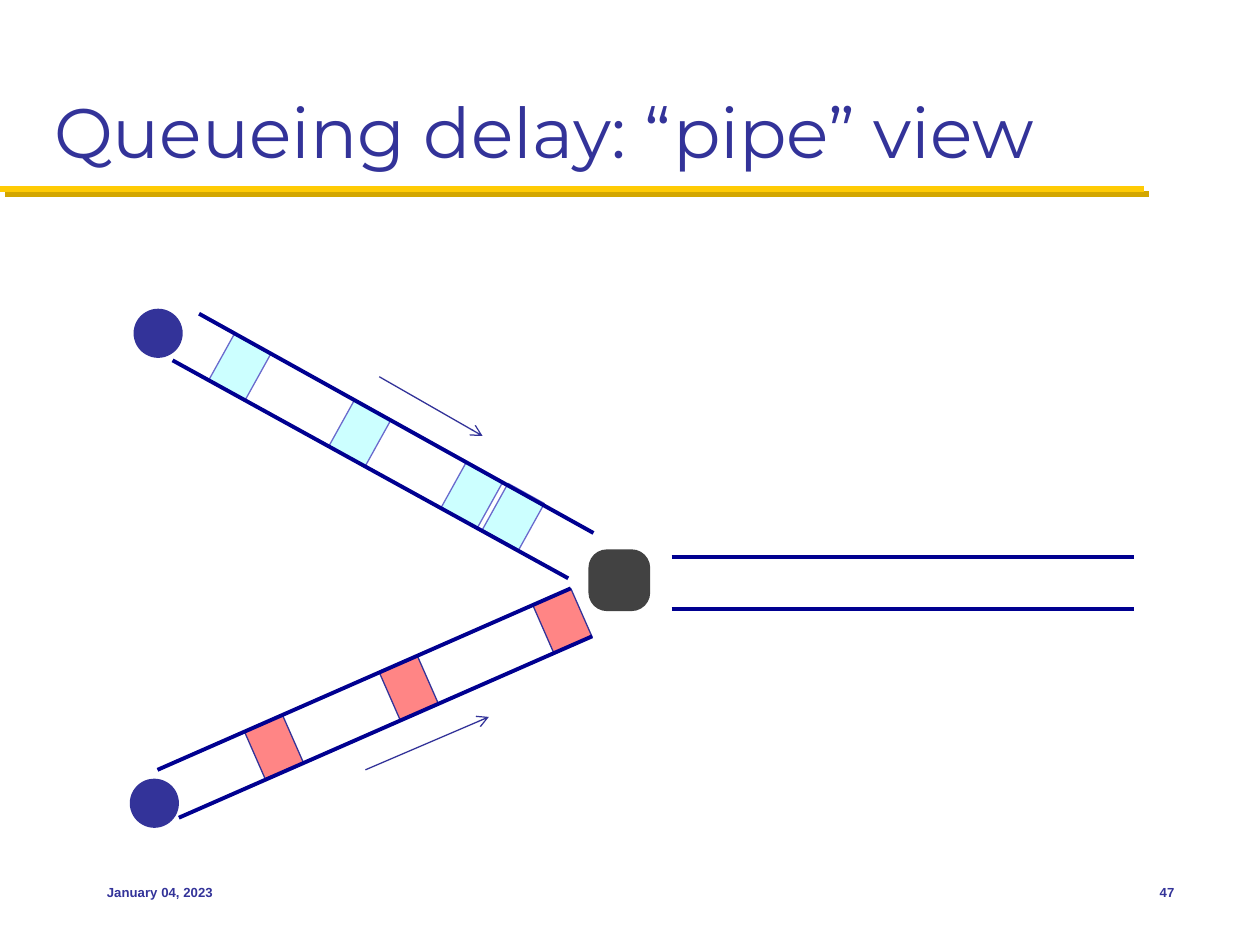
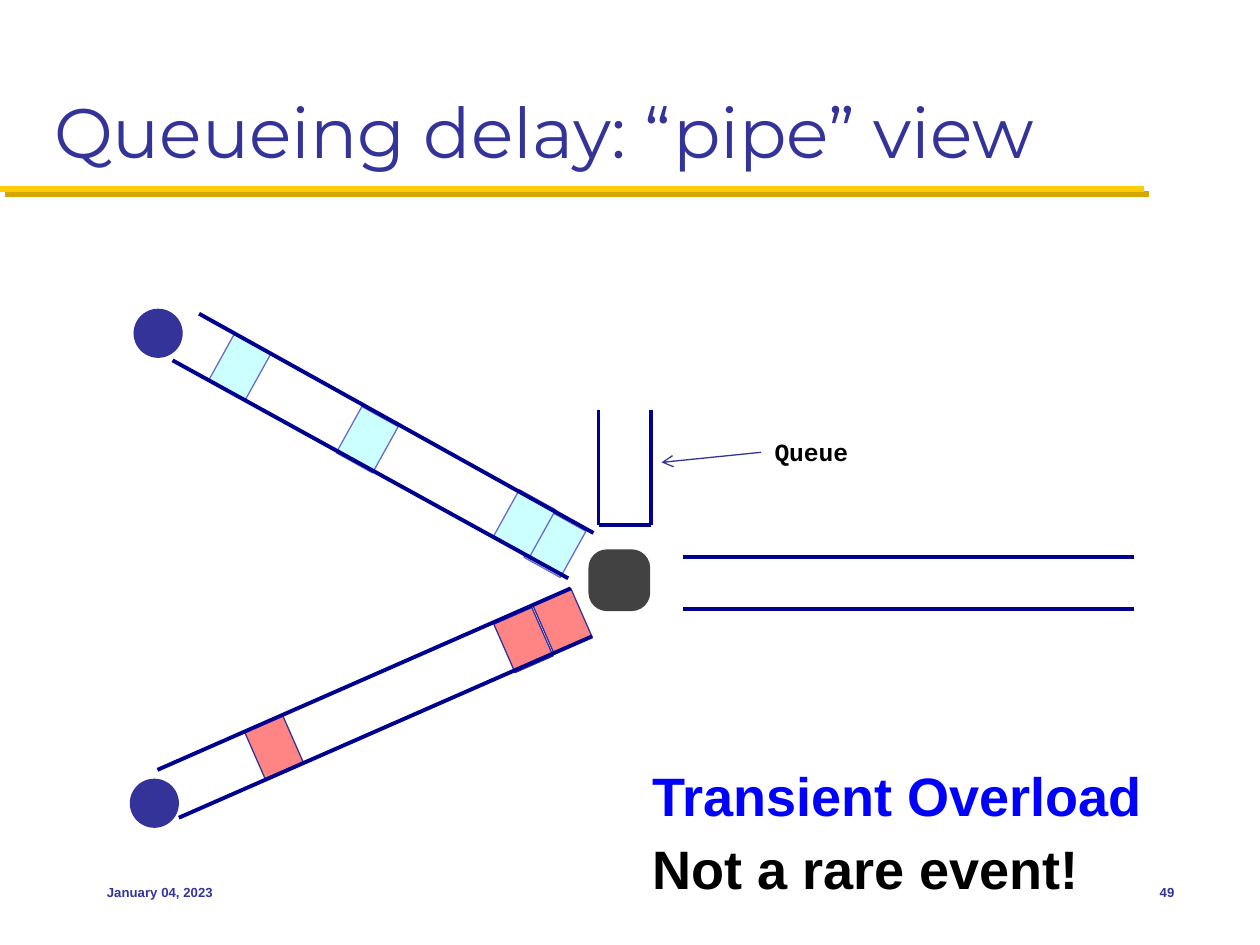
from dataclasses import dataclass

from lxml import etree
from pptx import Presentation
from pptx.dml.color import RGBColor
from pptx.enum.shapes import MSO_CONNECTOR as CONN, MSO_SHAPE as SHAPE
from pptx.enum.text import MSO_ANCHOR as ANCHOR, MSO_AUTO_SIZE as AUTO, PP_ALIGN as ALIGN
from pptx.oxml.ns import qn
from pptx.util import Emu, Pt

PX = 9144  # 100 px to the inch
TITLE_ONLY = 5


@dataclass(frozen=True)
class Theme:
    navy: str = "333399"
    pipe: str = "000090"
    gold: str = "FFCB05"
    gold_shadow: str = "D3A600"
    cyan: str = "CCFFFF"
    cyan_edge: str = "6A6ACD"
    red: str = "FF8585"
    router: str = "424242"
    blue: str = "0000FF"
    black: str = "000000"
    title_font: str = "Montserrat"
    body_font: str = "Arial"
    code_font: str = "Courier New"
    title_size: float = 40
    callout_size: float = 30.9
    label_size: float = 14.1
    footer_size: float = 7.5
    thin: float = 0.75
    thick: float = 2.25
    band: float = 3.5


@dataclass(frozen=True)
class Lane:
    """An incoming link: its host, its two walls and the look of its packets."""
    host: tuple
    walls: tuple
    angle: float
    fill: str
    edge: str


T = Theme()
UPPER = Lane((106, 245), ((158, 249, 471, 423), (137, 286, 451, 459)),
             29, T.cyan, T.cyan_edge)
LOWER = Lane((103, 618), ((125, 611, 453, 467), (142, 649, 470, 505)),
             336.3, T.red, T.navy)


def px(*lengths):
    return [Emu(n * PX) for n in lengths]


def rgb(color):
    return RGBColor.from_string(color)


def write(tf, text, font=T.body_font, size=T.footer_size, color=T.navy, bold=False,
          align=ALIGN.LEFT, anchor=ANCHOR.TOP, wrap=True):
    tf.word_wrap = wrap
    tf.auto_size = AUTO.NONE
    tf.vertical_anchor = anchor
    p = tf.paragraphs[0]
    p.alignment = align
    r = p.add_run()
    r.text = text
    r.font.name, r.font.size, r.font.bold = font, Pt(size), bold
    r.font.color.rgb = rgb(color)


class Deck:
    def __init__(self, theme):
        self.theme = theme
        self.prs = Presentation()
        self.prs.slide_width, self.prs.slide_height = px(1000, 750)
        self.s = None

    def new_slide(self, title, date, number):
        t = self.theme
        self.s = self.prs.slides.add_slide(self.prs.slide_layouts[TITLE_ONLY])
        self.line(4, 154, 912, 154, t.gold_shadow, t.band)
        self.line(0, 150, 908, 150, t.gold, t.band)
        sp = self.s.shapes.title
        sp.left, sp.top, sp.width, sp.height = px(33, 17, 933, 125)
        write(sp.text_frame, title, font=t.title_font, size=t.title_size,
              anchor=ANCHOR.BOTTOM)
        self.text(75, 683, 208, 50, date, bold=True, anchor=ANCHOR.MIDDLE)
        self.text(875, 683, 67, 50, number, bold=True, align=ALIGN.RIGHT,
                  anchor=ANCHOR.MIDDLE)

    def text(self, x, y, w, h, text, **style):
        write(self.s.shapes.add_textbox(*px(x, y, w, h)).text_frame, text, **style)

    def line(self, x1, y1, x2, y2, color, width, arrow=False):
        c = self.s.shapes.add_connector(CONN.STRAIGHT, *px(x1, y1, x2, y2))
        c.line.color.rgb = rgb(color)
        c.line.width = Pt(width)
        if arrow:
            etree.SubElement(c.line._get_or_add_ln(), qn("a:tailEnd"), type="arrow")
        etree.SubElement(c._element.spPr, qn("a:effectLst"))

    def arrow(self, *ends):
        self.line(*ends, self.theme.navy, self.theme.thin, arrow=True)

    def walls(self, *walls):
        for ends in walls:
            self.line(*ends, self.theme.pipe, self.theme.thick)

    def shape(self, kind, x, y, w, h, fill, edge=None, angle=0):
        sp = self.s.shapes.add_shape(kind, *px(x, y, w, h))
        sp.shadow.inherit = False
        sp.rotation = angle
        sp.fill.solid()
        sp.fill.fore_color.rgb = rgb(fill)
        if edge:
            sp.line.color.rgb = rgb(edge)
            sp.line.width = Pt(self.theme.thin)
        else:
            sp.line.fill.background()
        return sp

    def lane(self, lane, packets):
        for x, y in packets:
            self.shape(SHAPE.RECTANGLE, x, y, 33, 42, lane.fill, lane.edge, lane.angle)
        self.walls(*lane.walls)
        self.shape(SHAPE.OVAL, *lane.host, 39, 39, self.theme.navy)

    def network(self, upper, lower, outgoing_x):
        """Draw both incoming lanes, the router and the outgoing link."""
        self.lane(UPPER, upper)
        self.lane(LOWER, lower)
        router = self.shape(SHAPE.ROUNDED_RECTANGLE, 467, 436, 49, 49, self.theme.router)
        router.adjustments[0] = 0.3
        self.walls(*((outgoing_x, y, 900, y) for y in (442, 483)))

    def queue(self, left, top, right, bottom):
        self.walls((left, top, left, bottom), (right, top, right, bottom),
                   (left, bottom, right, bottom))


def main():
    deck = Deck(T)
    title, date = "Queueing delay: “pipe” view", "January 04, 2023"

    deck.new_slide(title, date, "47")
    deck.network(upper=[(391, 389), (358, 372), (269, 323), (174, 270)],
                 lower=[(201, 572), (430, 472), (308, 525)], outgoing_x=533)
    deck.arrow(301, 299, 383, 346)
    deck.arrow(290, 611, 388, 569)

    deck.new_slide(title, date, "49")
    deck.network(upper=[(424, 411), (400, 394), (275, 328), (174, 270)],
                 lower=[(201, 572), (430, 472), (399, 487)], outgoing_x=542)
    deck.queue(475, 325, 517, 417)
    deck.text(604, 342, 79, 34, "Queue", font=T.code_font, size=T.label_size,
              color=T.black, bold=True, align=ALIGN.RIGHT, wrap=False)
    deck.arrow(604, 359, 525, 367)
    callouts = (("Transient Overload", T.blue), ("Not a rare event!", T.black))
    for i, (text, color) in enumerate(callouts):
        deck.text(508, 600 + 58 * i, 467, 62, text, size=T.callout_size,
                  color=color, bold=True)

    deck.prs.save("out.pptx")


if __name__ == "__main__":
    main()
